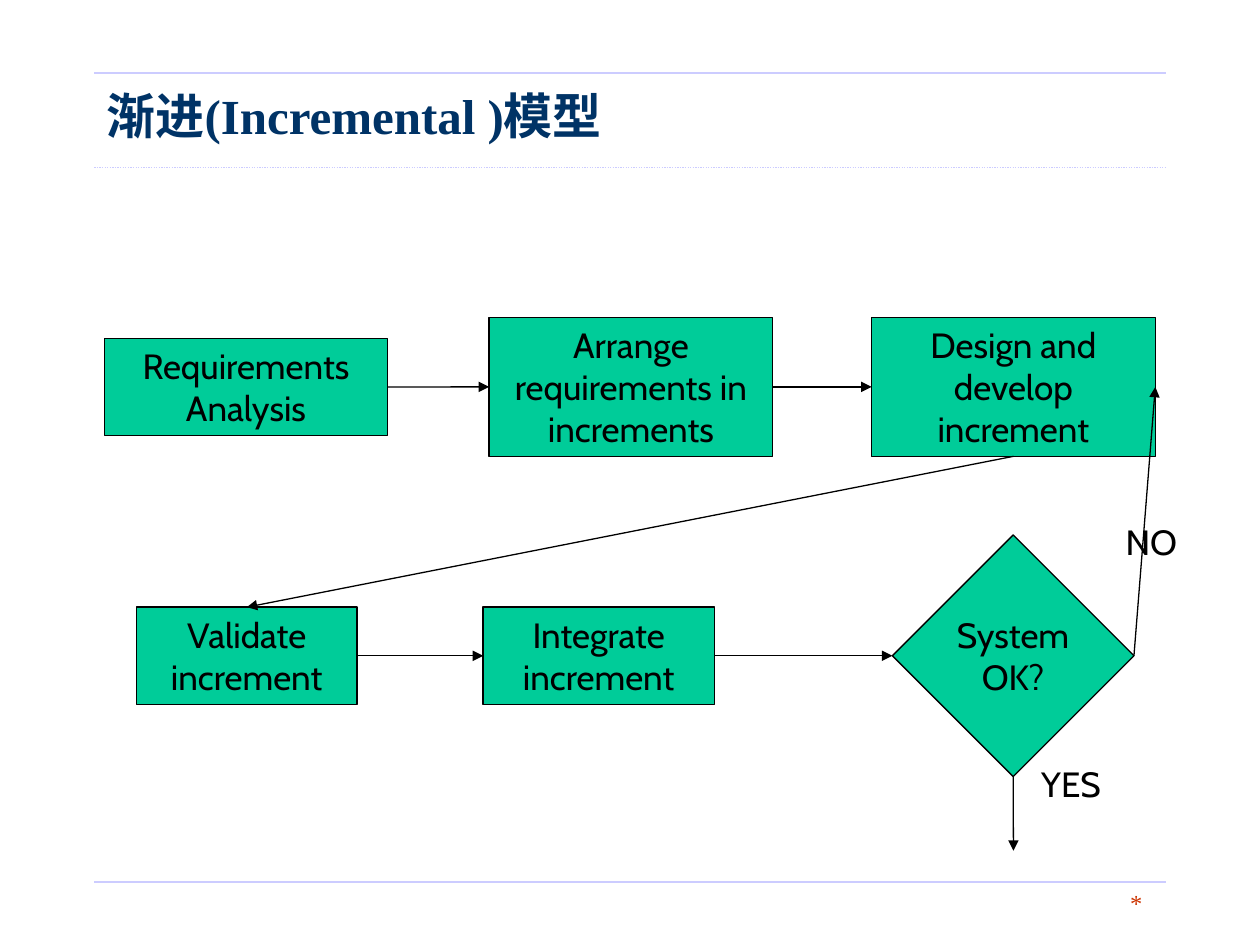
"""Build a one-slide flowchart of the incremental development model."""
from lxml.etree import SubElement
from pptx import Presentation
from pptx.dml.color import RGBColor
from pptx.enum.dml import MSO_LINE
from pptx.enum.shapes import MSO_CONNECTOR, MSO_SHAPE
from pptx.enum.text import MSO_ANCHOR, PP_ALIGN
from pptx.oxml.ns import qn
from pptx.util import Cm, Pt

BLACK = RGBColor(0x00, 0x00, 0x00)
GREEN = RGBColor(0x00, 0xCC, 0x99)
LAVENDER = RGBColor(0xCC, 0xCC, 0xFF)
NAVY = RGBColor(0x00, 0x33, 0x66)
RED = RGBColor(0xCC, 0x33, 0x00)

FRAME = {
    "margin_left": Cm(0.25),
    "margin_right": Cm(0.25),
    "margin_top": Cm(0.13),
    "margin_bottom": Cm(0.13),
    "word_wrap": True,
}
STEP_FONT = {"name": "Cabin", "size": Pt(20), "bold": False}
TITLE_FONT = {"name": "Times New Roman", "size": Pt(28), "bold": True}
MARK_FONT = {"name": "Times New Roman", "size": Pt(14), "bold": False}
TOP, LEFT, BOTTOM, RIGHT = range(4)


def write(shape, text, font, color, align, anchor, before=0):
    frame = shape.text_frame
    frame.text = text
    for name, value in FRAME.items():
        setattr(frame, name, value)
    frame.vertical_anchor = anchor
    for paragraph in frame.paragraphs:
        paragraph.alignment = align
        paragraph.space_before = Pt(before)
        for name, value in font.items():
            setattr(paragraph.font, name, value)
        paragraph.font.color.rgb = color


def draw_line(x1, y1, x2, y2, color, arrow=False):
    line = slide.shapes.add_connector(
        MSO_CONNECTOR.STRAIGHT, Cm(x1), Cm(y1), Cm(x2), Cm(y2))
    line.line.color.rgb = color
    line.line.width = Pt(0.75)
    properties = line._element.spPr
    if arrow:
        SubElement(properties.find(qn("a:ln")), qn("a:tailEnd"), type="triangle")
    SubElement(properties, qn("a:effectLst"))
    return line


presentation = Presentation()
presentation.slide_width, presentation.slide_height = Cm(25.4), Cm(19.05)
slide = presentation.slides.add_slide(presentation.slide_layouts[5])

for y in (1.47, 17.78):
    draw_line(1.9, y, 23.5, y, LAVENDER)
draw_line(1.9, 3.38, 23.5, 3.38, LAVENDER).line.dash_style = MSO_LINE.ROUND_DOT

title = slide.shapes.title
title.left, title.top, title.width, title.height = Cm(1.9), Cm(1.47), Cm(21.6), Cm(1.7)
write(title, "渐进(Incremental )模型", TITLE_FONT, NAVY, PP_ALIGN.LEFT, MSO_ANCHOR.MIDDLE)

UPPER, LOWER = 7.8, 13.22
steps = {}
for key, text, kind, left, middle, width, height in (
    ("analysis", "Requirements Analysis", MSO_SHAPE.RECTANGLE, 2.11, UPPER, 5.7, 1.96),
    ("arrange", "Arrange requirements in increments", MSO_SHAPE.RECTANGLE, 9.86, UPPER, 5.72, 2.8),
    ("design", "Design and develop increment", MSO_SHAPE.RECTANGLE, 17.57, UPPER, 5.72, 2.8),
    ("validate", "Validate increment", MSO_SHAPE.RECTANGLE, 2.75, LOWER, 4.45, 1.96),
    ("integrate", "Integrate increment", MSO_SHAPE.RECTANGLE, 9.74, LOWER, 4.66, 1.96),
    ("decision", "System\nOK?", MSO_SHAPE.DIAMOND, 17.99, LOWER, 4.87, 4.87),
):
    step = slide.shapes.add_shape(
        kind, Cm(left), Cm(middle - height / 2), Cm(width), Cm(height))
    step.shadow.inherit = False
    step.fill.solid()
    step.fill.fore_color.rgb = GREEN
    step.line.color.rgb = BLACK
    step.line.width = Pt(0.75)
    write(step, text, STEP_FONT, BLACK, PP_ALIGN.CENTER, MSO_ANCHOR.MIDDLE)
    steps[key] = step
steps["decision"].text_frame.word_wrap = False

for source, exit_side, target, entry_side in (
    ("analysis", RIGHT, "arrange", LEFT),
    ("arrange", RIGHT, "design", LEFT),
    ("design", BOTTOM, "validate", TOP),
    ("validate", RIGHT, "integrate", LEFT),
    ("integrate", RIGHT, "decision", LEFT),
    ("decision", RIGHT, "design", RIGHT),
):
    flow = draw_line(0, 0, 1, 1, BLACK, arrow=True)
    flow.begin_connect(steps[source], exit_side)
    flow.end_connect(steps[target], entry_side)
finish = draw_line(20.43, 15.66, 20.43, 17.15, BLACK, arrow=True)
finish.begin_connect(steps["decision"], BOTTOM)

for text, left, top, width, height, font, color, align, before in (
    ("YES", 20.74, 15.24, 2.12, 1.11, STEP_FONT, BLACK, PP_ALIGN.LEFT, 12.5),
    ("NO", 22.44, 10.37, 1.9, 1.11, STEP_FONT, BLACK, PP_ALIGN.LEFT, 12.5),
    ("*", 19.26, 17.78, 4.02, 0.86, MARK_FONT, RED, PP_ALIGN.RIGHT, 8.8),
):
    label = slide.shapes.add_textbox(Cm(left), Cm(top), Cm(width), Cm(height))
    write(label, text, font, color, align, MSO_ANCHOR.TOP, before)

presentation.save("out.pptx")
